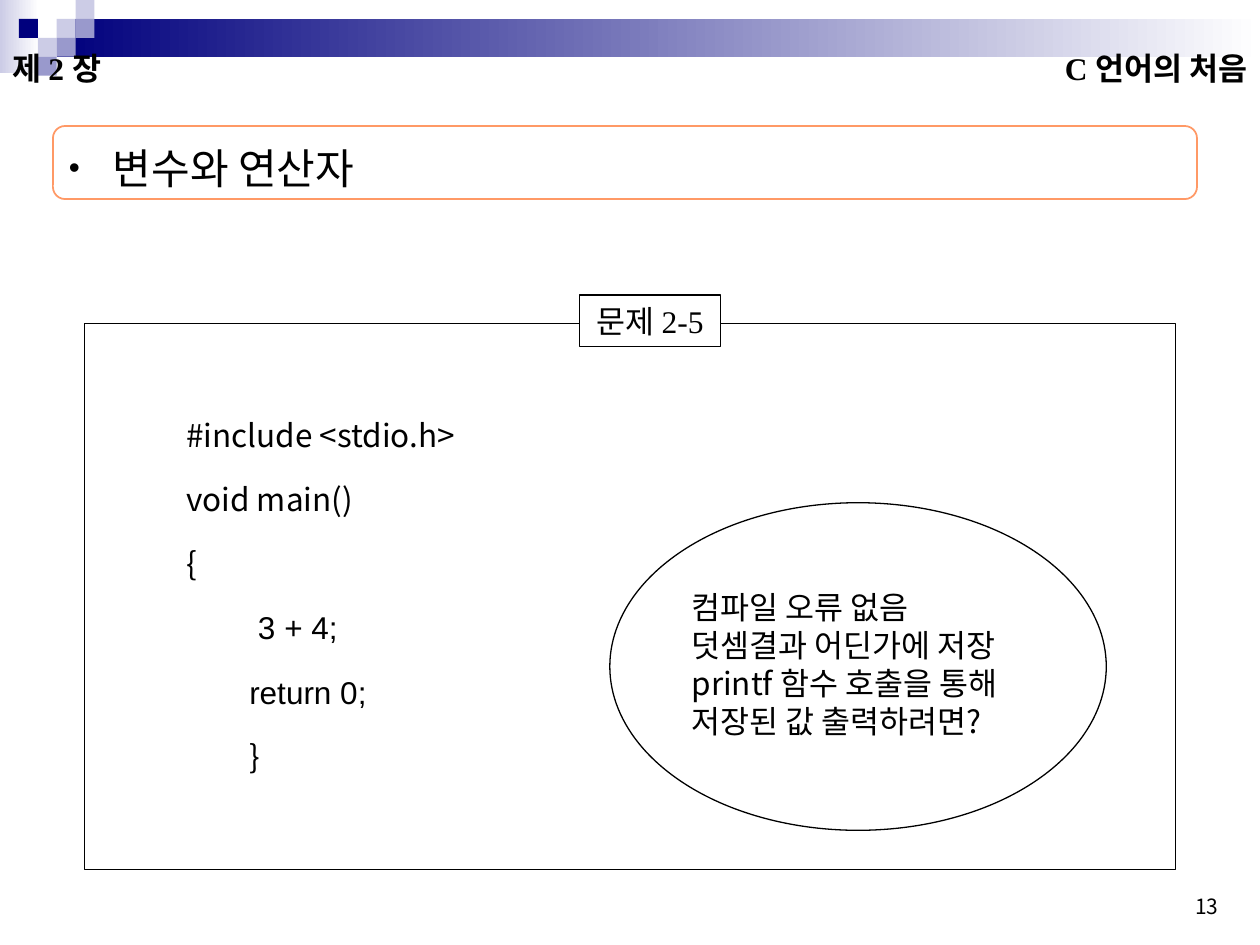
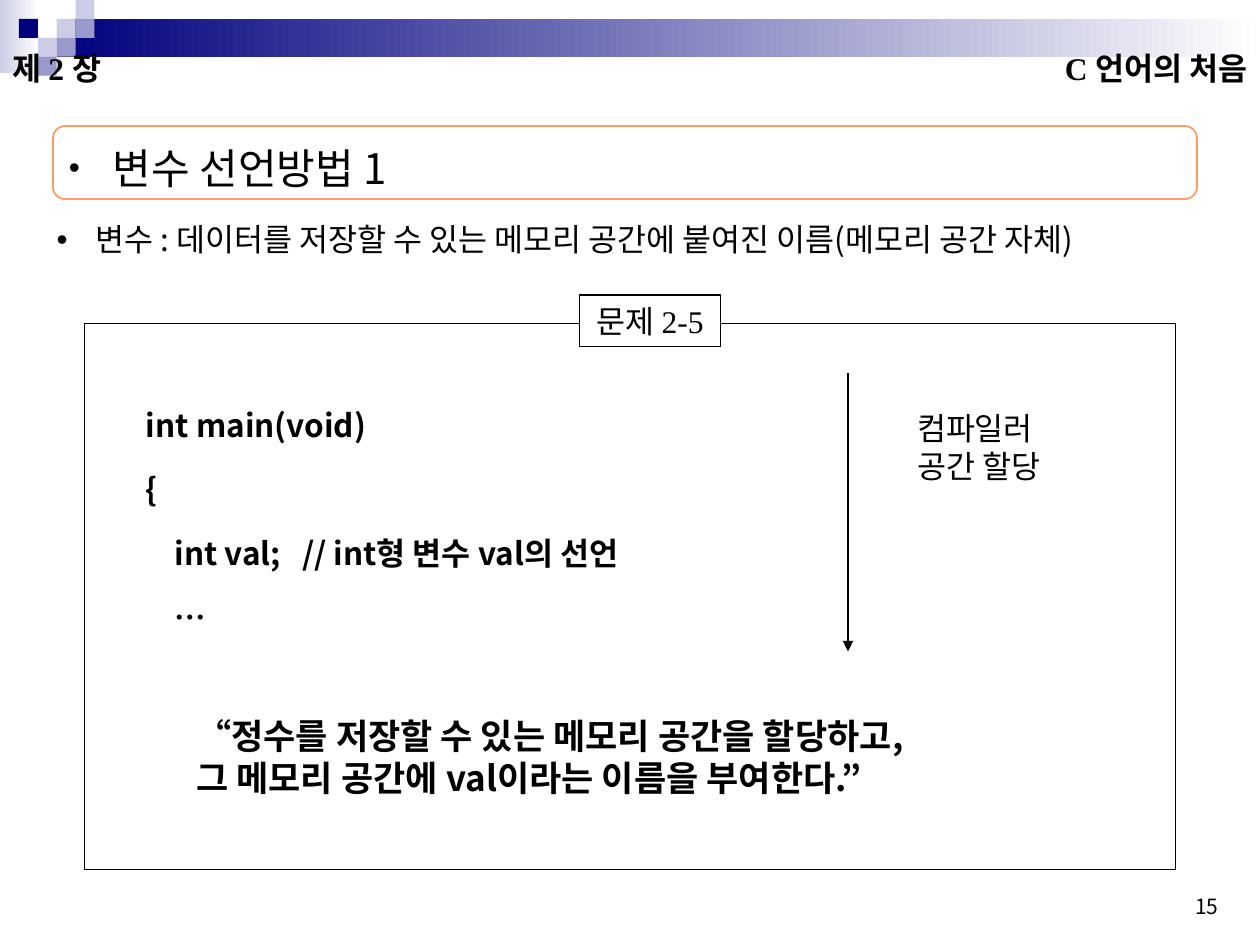
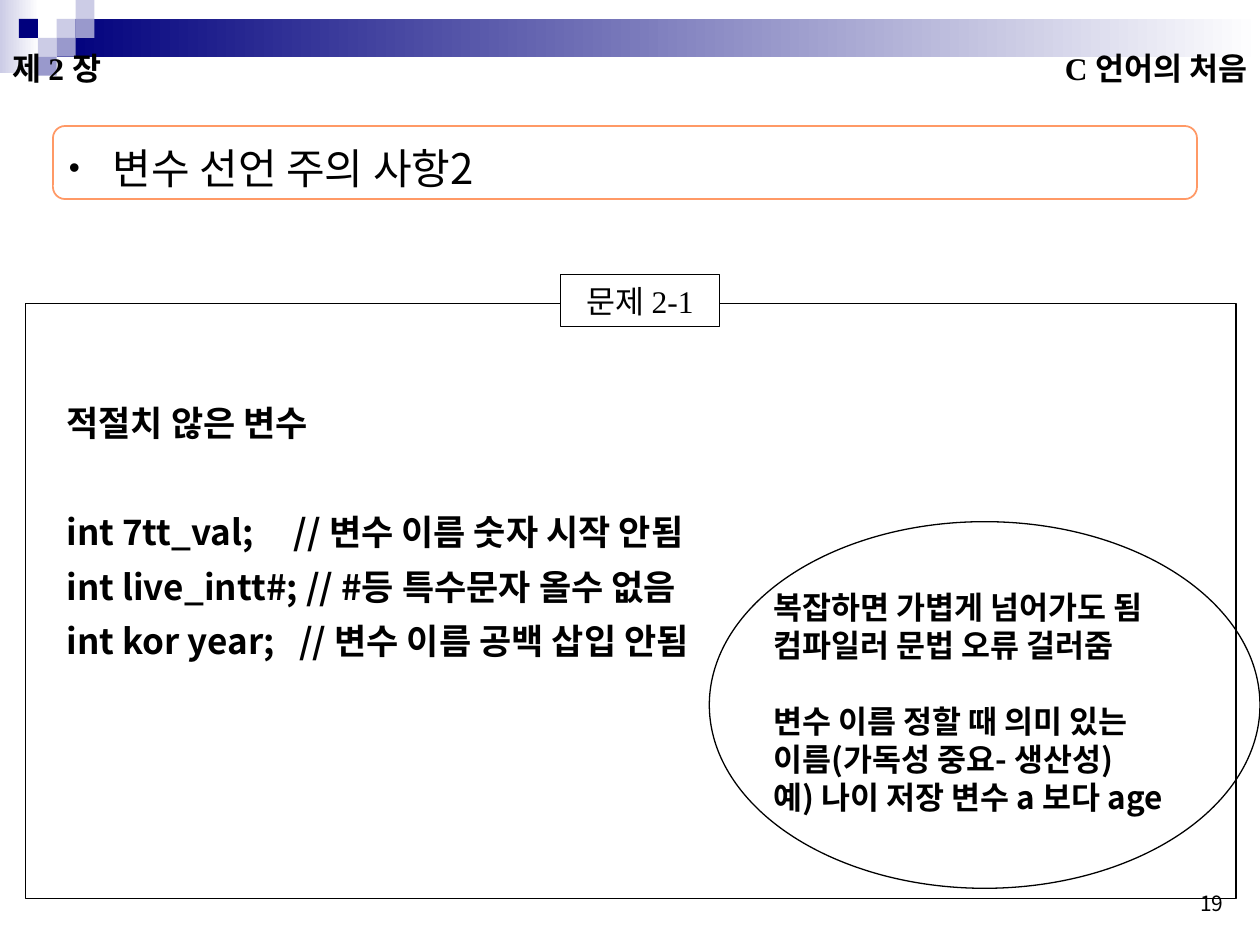
import lxml.etree
import pptx
import pptx.dml.color
import pptx.enum.shapes
import pptx.enum.text
import pptx.oxml.ns
import pptx.util

SCALE = 9144
RGB = pptx.dml.color.RGBColor
BLACK = RGB(0x00, 0x00, 0x00)
WHITE = RGB(0xFF, 0xFF, 0xFF)
NAVY = RGB(0x00, 0x00, 0x7D)
LILAC = RGB(0xCC, 0xCC, 0xE6)
VIOLET = RGB(0x99, 0x99, 0xCC)
ORANGE = RGB(0xFF, 0x99, 0x66)

GOTHIC = "Noto Sans CJK KR"
SERIF = "Times New Roman"
KIND = pptx.enum.shapes.MSO_SHAPE
ALIGN = pptx.enum.text.PP_ALIGN
ANCHOR = pptx.enum.text.MSO_ANCHOR

BODY = {"size": 18, "name": GOTHIC, "bold": False}
STRONG = {**BODY, "bold": True}
LARGE = {**STRONG, "size": 20}
HEAD = {**STRONG, "name": SERIF}
LABEL = {**BODY, "name": SERIF}
TITLE = {**BODY, "size": 24}
SMALL = {**BODY, "size": 12}

TILE = 15
TILES = [(3, 1, LILAC), (4, 0, LILAC), (4, 1, VIOLET), (2, 2, LILAC),
         (1, 1, NAVY), (3, 2, VIOLET), (2, 3, VIOLET)]


def px(*nums):
    """Turn px lengths into EMU."""
    return [pptx.util.Emu(num * SCALE) for num in nums]


def apply(item, values):
    """Set each named attribute on the item."""
    for key, value in values.items():
        setattr(item, key, value)


def node(parent, tag, **attrs):
    """Append a drawing element to the parent."""
    name = pptx.oxml.ns.qn("a:" + tag)
    return lxml.etree.SubElement(parent, name, **attrs)


def bullet(par, hang, size):
    """Give the paragraph a hanging round bullet."""
    props = par._p.get_or_add_pPr()
    step = str(hang * SCALE)
    props.set("marL", step)
    props.set("indent", "-" + step)
    color = node(props, "buClr")
    node(color, "srgbClr", val=str(BLACK))
    node(props, "buSzPct", val=str(size * 1000))
    node(props, "buFont", typeface="Arial")
    node(props, "buChar", char="•")


def write(shape, lines, style, anchor=ANCHOR.TOP, wrap=True, mark=None, **form):
    """Fill the shape with lines, each a text or a text with its changes."""
    frame = shape.text_frame
    inset = px(10, 5, 10, 5)
    sides = ("margin_left", "margin_top", "margin_right", "margin_bottom")
    apply(frame, {**dict(zip(sides, inset)),
                  "word_wrap": wrap, "vertical_anchor": anchor})
    for num, line in enumerate(lines):
        text, extra = (line, {}) if isinstance(line, str) else line
        par = frame.paragraphs[0] if num == 0 else frame.add_paragraph()
        apply(par, {"alignment": ALIGN.LEFT, **form})
        if mark:
            bullet(par, *mark)
        if "gap" in extra:
            par.space_before = pptx.util.Pt(extra["gap"])
        if "indent" in extra:
            par._p.get_or_add_pPr().set("marL", str(extra["indent"] * SCALE))
        run = par.add_run()
        run.text = text
        face = {**style, "name": extra.get("name", style["name"])}
        apply(run.font, {**face, "size": pptx.util.Pt(face["size"])})
        run.font.color.rgb = BLACK
        node(run._r.get_or_add_rPr(), "ea", typeface=GOTHIC)


def draw(slide, kind, box, fill=None, line=None, width=0.75):
    """Add a preset shape with a plain or two-colour fill."""
    shape = slide.shapes.add_shape(kind, *px(*box))
    shape.shadow.inherit = False
    if isinstance(fill, list):
        shape.fill.gradient()
        shape.fill.gradient_angle = 0
        for stop, color in zip(shape.fill.gradient_stops, fill):
            stop.color.rgb = color
    elif fill is None:
        shape.fill.background()
    else:
        shape.fill.solid()
        shape.fill.fore_color.rgb = fill
    if line is None:
        shape.line.fill.background()
    else:
        shape.line.color.rgb = line
        shape.line.width = pptx.util.Pt(width)
    return shape


def text(slide, box, lines, style, **form):
    """Add a text box."""
    write(slide.shapes.add_textbox(*px(*box)), lines, style, **form)


def band(slide, box):
    """Draw the top band, its tiles and the chapter heads."""
    left, top, width, _ = box
    draw(slide, KIND.RECTANGLE, (left, top, 31, 58), [LILAC, WHITE])
    start = 3 * TILE
    draw(slide, KIND.RECTANGLE,
         (left + start, top + TILE, width - start, 2 * TILE), [NAVY, WHITE])
    for col, row, color in TILES:
        draw(slide, KIND.RECTANGLE,
             (left + col * TILE, top + row * TILE, TILE, TILE), color)
    text(slide, (left, top + 25, 217, 58), ["제 2 장"], HEAD,
         anchor=ANCHOR.MIDDLE)
    text(slide, (left + width - 350, top + 25, 350, 58), ["C 언어의 처음"], HEAD,
         anchor=ANCHOR.MIDDLE, alignment=ALIGN.RIGHT)


def title(slide, box, words):
    """Draw the rounded title bar."""
    bar = draw(slide, KIND.ROUNDED_RECTANGLE, box, line=ORANGE, width=1)
    write(bar, [words], TITLE, anchor=ANCHOR.MIDDLE, mark=(35, 75),
          line_spacing=1.2)


def panel(slide, box, name, shift, width):
    """Draw the problem frame with its label on the top edge."""
    left, top, _, _ = box
    draw(slide, KIND.RECTANGLE, box, line=BLACK)
    tag = draw(slide, KIND.RECTANGLE, (left + shift, top - 23, width, 41),
               WHITE, BLACK)
    write(tag, [name], LABEL, anchor=ANCHOR.MIDDLE, wrap=False,
          alignment=ALIGN.CENTER)


def bubble(slide, box, inset, lines, style):
    """Draw an ellipse with a remark inside."""
    left, top, width, height = box
    side, drop = inset
    draw(slide, KIND.OVAL, box, line=BLACK)
    text(slide, (left + side, top + drop, width - side, height - 2 * drop),
         lines, style)


def arrow(slide, left, top, height):
    """Draw a downward arrow."""
    link = slide.shapes.add_connector(
        pptx.enum.shapes.MSO_CONNECTOR.STRAIGHT,
        *px(left, top, left, top + height))
    link.line.color.rgb = BLACK
    link.line.width = pptx.util.Pt(0.75)
    node(link.line._get_or_add_ln(), "tailEnd", type="triangle")
    node(link._element.spPr, "effectLst")


def page(deck, words, number, foot=(768, 659, 209, 75)):
    """Add a slide with band, title and page number."""
    slide = deck.slides.add_slide(deck.slide_layouts[6])
    band(slide, (0, 0, 1000, 83))
    title(slide, (42, 100, 908, 58), words)
    text(slide, foot, [number], SMALL, anchor=ANCHOR.BOTTOM,
         alignment=ALIGN.RIGHT)
    return slide


def sums(deck):
    """Build the slide on variables and operators."""
    slide = page(deck, "변수와 연산자", "13")
    panel(slide, (67, 257, 866, 433), "문제 2-5", 393, 112)
    code = ["#include <stdio.h>", "void main()", "{",
            (" 3 + 4;", {"indent": 50, "name": "Arial"}),
            ("return 0;", {"indent": 50, "name": "Arial"}),
            ("}", {"indent": 50})]
    text(slide, (138, 304, 571, 316), code, BODY, line_spacing=1.7)
    note = ["컴파일 오류 없음", "덧셈결과 어딘가에 저장",
            "printf 함수 호출을 통해", "저장된 값 출력하려면?"]
    bubble(slide, (484, 399, 394, 260), (55, 63), note, BODY)


def declare(deck):
    """Build the slide on declaring a variable."""
    slide = page(deck, "변수 선언방법 1", "15")
    text(slide, (35, 170, 925, 40),
         ["변수 : 데이터를 저장할 수 있는 메모리 공간에 붙여진 이름(메모리 공간 자체)"],
         BODY, mark=(31, 100), alignment=ALIGN.JUSTIFY)
    panel(slide, (67, 257, 866, 433), "문제 2-5", 393, 112)
    code = ["int main(void)", "{", "    int val;   // int형 변수 val의 선언", "    …"]
    text(slide, (106, 296, 756, 265), code, STRONG, line_spacing=1.7)
    quote = ["“정수를 저장할 수 있는 메모리 공간을 할당하고,",
             "그 메모리 공간에 val이라는 이름을 부여한다.”"]
    text(slide, (146, 562, 587, 110), quote, LARGE)
    arrow(slide, 673, 296, 221)
    text(slide, (718, 320, 130, 70), ["컴파일러", "공간 할당"], BODY)


def naming(deck):
    """Build the slide on naming rules."""
    slide = page(deck, "변수 선언 주의 사항2", "19", (705, 682, 276, 50))
    panel(slide, (20, 241, 961, 472), "문제 2-1", 425, 126)
    code = ["적절치 않은 변수",
            ("int 7tt_val;     // 변수 이름 숫자 시작 안됨", {"gap": 31}),
            "int live_intt#; // #등 특수문자 올수 없음",
            "int kor year;   // 변수 이름 공백 삽입 안됨"]
    text(slide, (43, 304, 866, 227), code, LARGE, line_spacing=1.3)
    note = ["복잡하면 가볍게 넘어가도 됨", "컴파일러 문법 오류 걸러줌",
            ("변수 이름 정할 때 의미 있는", {"gap": 22}),
            "이름(가독성 중요- 생산성)", "예) 나이 저장 변수 a 보다 age"]
    bubble(slide, (563, 414, 437, 291), (41, 48), note, STRONG)


def main():
    """Build and save the deck."""
    deck = pptx.Presentation()
    deck.slide_width, deck.slide_height = px(1000, 750)
    for build in (sums, declare, naming):
        build(deck)
    deck.save("out.pptx")


if __name__ == "__main__":
    main()
